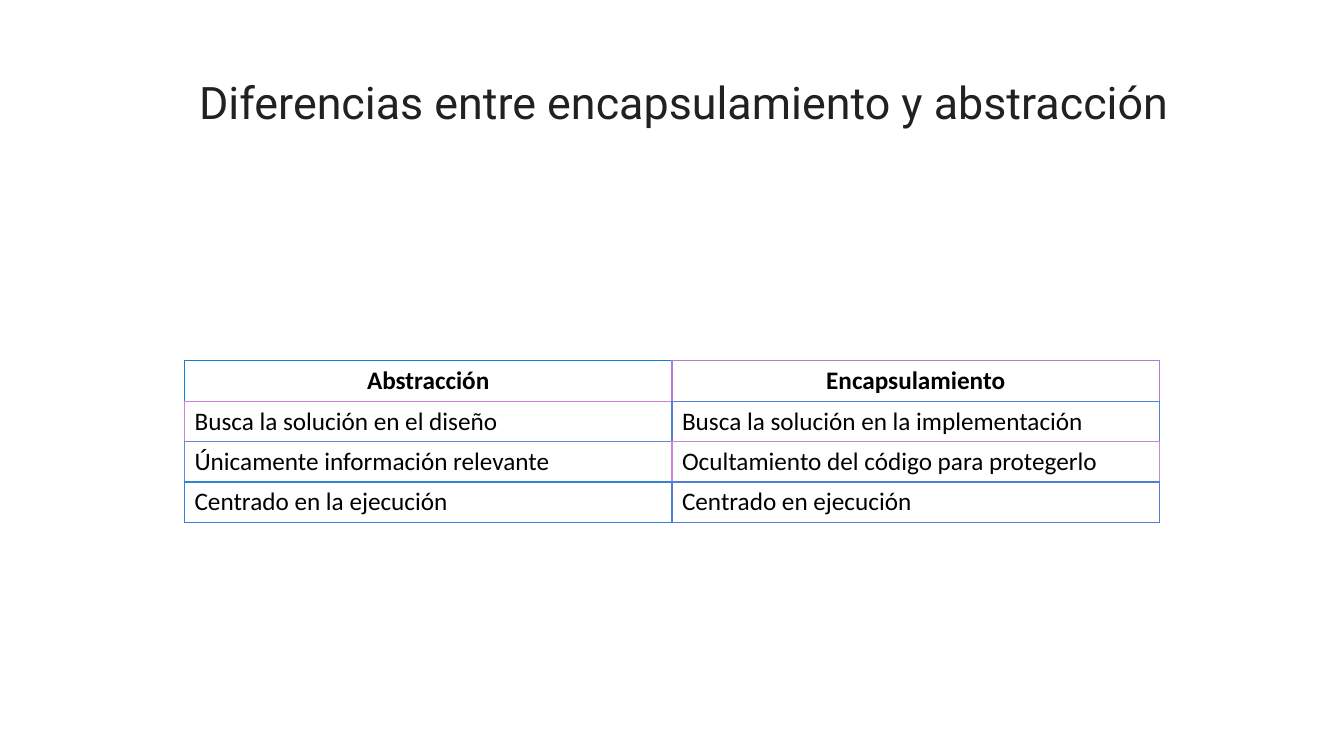
from dataclasses import dataclass
from lxml.etree import SubElement as Sub
from pptx import Presentation
from pptx.dml.color import RGBColor as RGB
from pptx.enum.text import MSO_ANCHOR as Anchor, MSO_AUTO_SIZE as Fit, PP_ALIGN as Align
from pptx.oxml.ns import qn
from pptx.util import Inches, Pt


@dataclass(frozen=True)
class Theme:
    paper: str = "FFFFFF"
    ink: str = "000000"
    dark: str = "212121"
    head: str = "Roboto"
    body: str = "Calibri"
    big: int = 32
    text: int = 18
    edge: float = 1
    tints: tuple = (("107FD5", "B07DD5"), ("D080D5", "5081D5"),
                    ("7084D5", "D082D5"), ("3083D5", "507DD5"))


TITLE = "Diferencias entre encapsulamiento y abstracción"
ROWS = (
    ("Abstracción", "Encapsulamiento"),
    ("Busca la solución en el diseño", "Busca la solución en la implementación"),
    ("Únicamente información relevante", "Ocultamiento del código para protegerlo"),
    ("Centrado en la ejecución", "Centrado en ejecución"),
)


def assign(item, values):
    for name, value in values.items():
        setattr(item, name, value)


def paint(item, tint):
    item.fill.solid()
    item.fill.fore_color.rgb = RGB.from_string(tint)


class Page:
    def __init__(self, slide, theme):
        self.slide, self.theme = slide, theme

    def label(self, frame, text, align, tint, **font):
        frame.text = text
        para = frame.paragraphs[0]
        para.alignment = align
        run = para.runs[0]
        assign(run.font, font)
        run.font.color.rgb = RGB.from_string(tint)

    def title(self, text, left, top, width, height):
        look, box = self.theme, self.slide.shapes.title
        assign(box, dict(left=Inches(left), top=Inches(top),
                         width=Inches(width), height=Inches(height)))
        paint(box, look.paper)
        frame = box.text_frame
        assign(frame, dict(
            word_wrap=True, auto_size=Fit.SHAPE_TO_FIT_TEXT,
            vertical_anchor=Anchor.MIDDLE, margin_left=Inches(0.1),
            margin_right=Inches(0.1), margin_top=0, margin_bottom=Inches(0.05)))
        self.label(frame, text, Align.CENTER, look.dark,
                   name=look.head, size=Pt(look.big), bold=False)

    def border(self, cell, row, col):
        """Each cell tints its left and top; the next cell tints the shared side."""
        tints = self.theme.tints
        own = tints[row][col]
        right = tints[row][min(col + 1, len(tints[row]) - 1)]
        below = tints[min(row + 1, len(tints) - 1)][col]
        props = cell._tc.get_or_add_tcPr()
        for side, tint in zip("LRTB", (own, right, own, below)):
            line = Sub(props, qn(f"a:ln{side}"), w=str(Pt(self.theme.edge)))
            Sub(Sub(line, qn("a:solidFill")), qn("a:srgbClr"), val=tint)

    def table(self, rows, left, top, width, height):
        look = self.theme
        grid = self.slide.shapes.add_table(
            len(rows), len(rows[0]), Inches(left), Inches(top),
            Inches(width), Inches(height)).table
        assign(grid, dict(first_row=False, horz_banding=False))
        for row, texts in enumerate(rows):
            for col, text in enumerate(texts):
                cell, first = grid.cell(row, col), row == 0
                self.border(cell, row, col)
                paint(cell, look.paper)
                cell.vertical_anchor = Anchor.MIDDLE
                self.label(cell.text_frame, text,
                           Align.CENTER if first else Align.LEFT, look.ink,
                           name=look.body, size=Pt(look.text), bold=first)


def main():
    deck = Presentation()
    assign(deck, dict(slide_width=Inches(13.33), slide_height=Inches(7.5)))
    theme = Theme()
    slide = deck.slides.add_slide(deck.slide_layouts.get_by_name("Title Only"))
    paint(slide.background, theme.paper)
    page = Page(slide, theme)
    page.table(ROWS, 1.83, 3.58, 9.67, 1.6)
    page.title(TITLE, 1.31, 0.74, 10.95, 0.59)
    deck.save("out.pptx")


if __name__ == "__main__":
    main()
